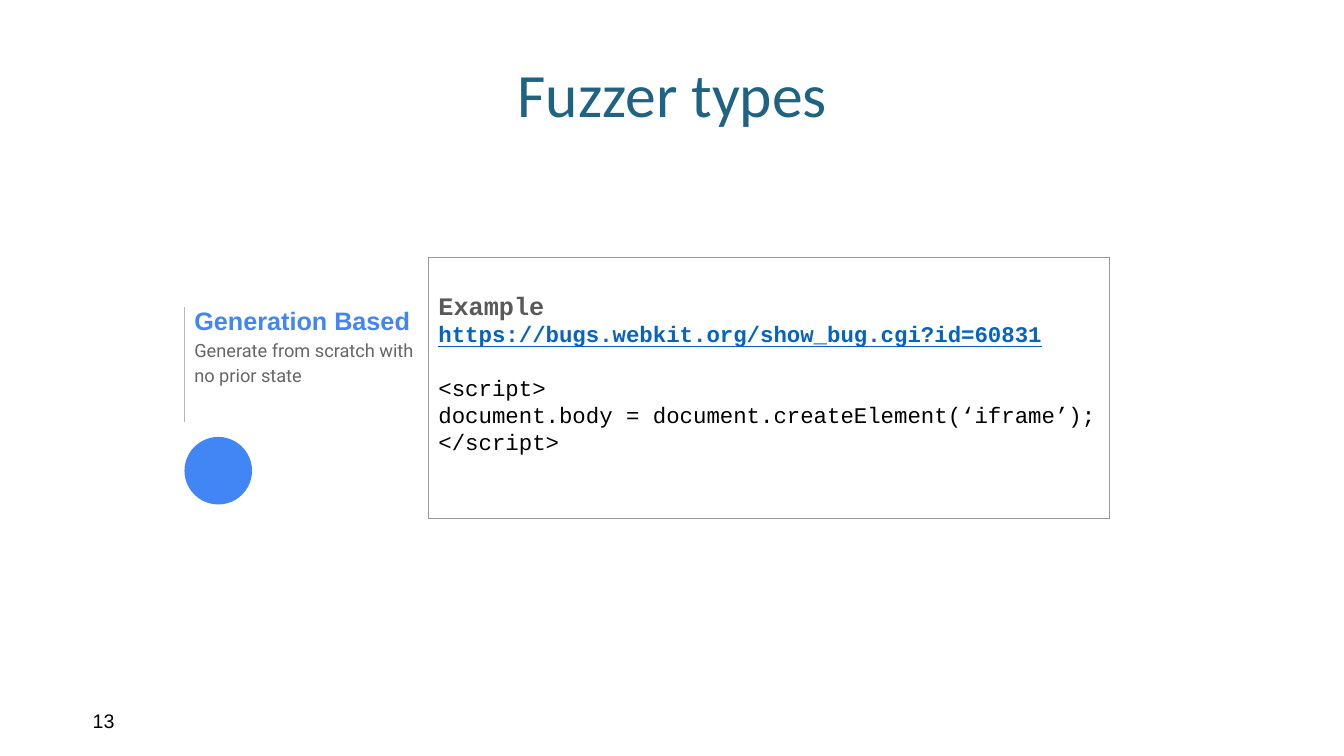
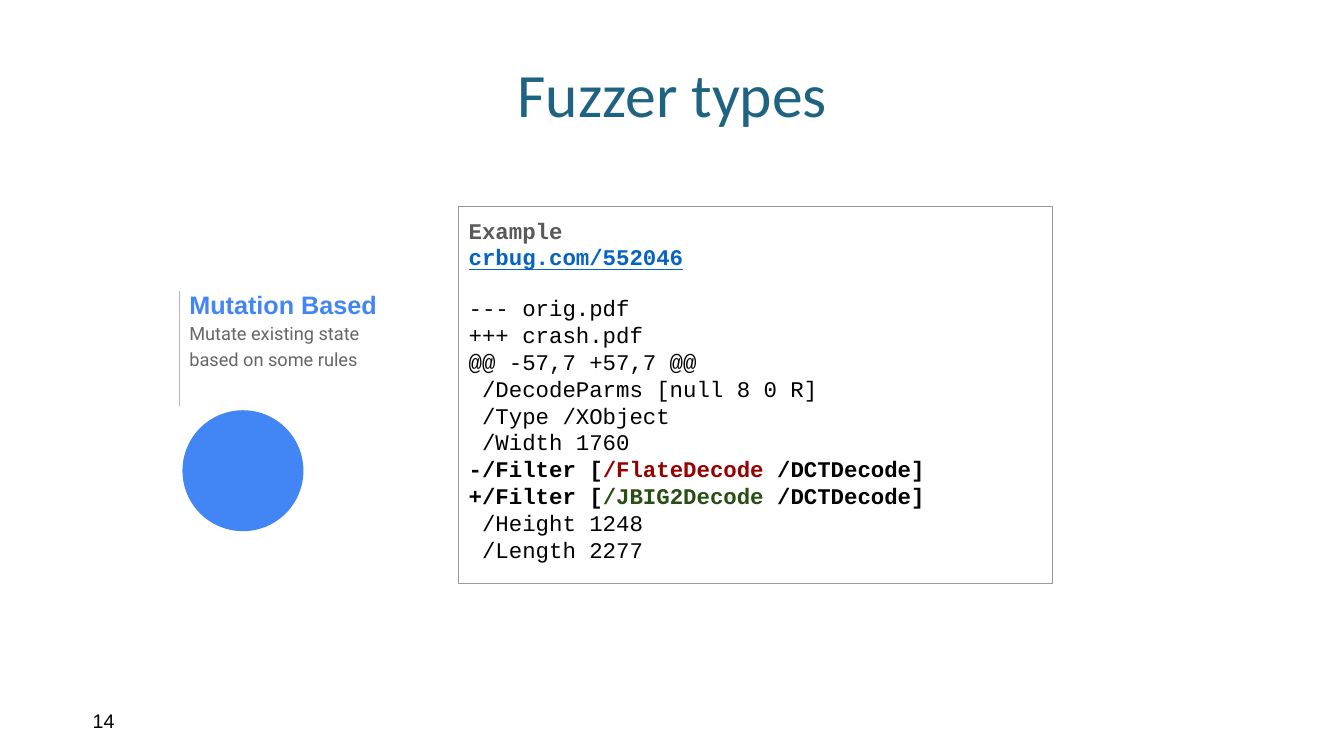
from lxml.etree import SubElement
from pptx import Presentation
from pptx.dml.color import RGBColor
from pptx.enum.shapes import MSO_CONNECTOR, MSO_SHAPE
from pptx.enum.text import MSO_ANCHOR, PP_ALIGN
from pptx.oxml.ns import qn
from pptx.util import Inches, Pt

TEAL = RGBColor(0x1F, 0x63, 0x83)
BLUE = RGBColor(0x42, 0x85, 0xF4)
LINK_BLUE = RGBColor(0x05, 0x63, 0xC1)
BLACK = RGBColor(0x00, 0x00, 0x00)
DARK_GRAY = RGBColor(0x59, 0x59, 0x59)
TEXT_GRAY = RGBColor(0x66, 0x66, 0x66)
BORDER_GRAY = RGBColor(0x99, 0x99, 0x99)
RULE_GRAY = RGBColor(0xB7, 0xB7, 0xB7)
REMOVED_RED = RGBColor(0x98, 0x00, 0x00)
ADDED_GREEN = RGBColor(0x27, 0x4E, 0x13)

TITLE_FONT = "Calibri"
BASE_FONT = "Arial"
BODY_FONT = "Roboto"
CODE_FONT = "Courier New"
CODE_SIZE = 16
CIRCLE_CENTER = 4.67


def add_run(paragraph, text, font, size, color, bold=False, underline=False):
    run = paragraph.add_run()
    run.text = text
    run.font.name = font
    run.font.size = Pt(size)
    run.font.color.rgb = color
    run.font.bold = bold
    run.font.underline = underline


def set_frame(frame, left=0.1, top=0.1, right=0.1, bottom=0.1, anchor=MSO_ANCHOR.TOP):
    """Turn wrapping on, set the insets in inches and the anchor."""
    frame.word_wrap = True
    frame.margin_left, frame.margin_top = Inches(left), Inches(top)
    frame.margin_right, frame.margin_bottom = Inches(right), Inches(bottom)
    frame.vertical_anchor = anchor


def add_text_frame(slide, box, **frame_options):
    frame = slide.shapes.add_textbox(*map(Inches, box)).text_frame
    set_frame(frame, **frame_options)
    return frame


def add_title(slide, text, box=(0.92, 0.64, 11.5, 1.21)):
    paragraph = add_text_frame(slide, box, top=0, bottom=0.05).paragraphs[0]
    paragraph.alignment = PP_ALIGN.CENTER
    paragraph.line_spacing = 0.9
    add_run(paragraph, text, TITLE_FONT, 44, TEAL)


def add_slide_number(slide, number, box=(0.92, 6.95, 3, 0.4)):
    frame = add_text_frame(slide, box, left=0, top=0.05, bottom=0.05,
                           anchor=MSO_ANCHOR.MIDDLE)
    add_run(frame.paragraphs[0], str(number), BASE_FONT, 14, BLACK)


def add_circle(slide, left, diameter):
    circle = slide.shapes.add_shape(
        MSO_SHAPE.OVAL, Inches(left), Inches(CIRCLE_CENTER - diameter / 2),
        Inches(diameter), Inches(diameter))
    circle.shadow.inherit = False
    circle.fill.solid()
    circle.fill.fore_color.rgb = BLUE
    circle.line.fill.background()


def add_type_label(slide, box, heading, description):
    """Place a heading and description beside a thin vertical rule."""
    left, top, _, height = box
    rule = slide.shapes.add_connector(
        MSO_CONNECTOR.STRAIGHT, Inches(left), Inches(top + 0.12),
        Inches(left), Inches(top + height))
    rule.line.color.rgb = RULE_GRAY
    rule.line.width = Pt(0.75)
    SubElement(rule._element.spPr, qn("a:effectLst"))

    frame = add_text_frame(slide, box)
    add_run(frame.paragraphs[0], heading, BASE_FONT, 18, BLUE, bold=True)
    paragraph = frame.add_paragraph()
    paragraph.line_spacing = 1.15
    add_run(paragraph, description, BODY_FONT, 13, TEXT_GRAY)


def add_code_panel(slide, box, link, code, top_inset, heading_size, code_gap):
    """Place a framed example; each code line is a list of (text, colour, bold)."""
    panel = slide.shapes.add_shape(MSO_SHAPE.RECTANGLE, *map(Inches, box))
    panel.shadow.inherit = False
    panel.fill.background()
    panel.line.color.rgb = BORDER_GRAY
    panel.line.width = Pt(0.75)

    frame = panel.text_frame
    set_frame(frame, top=top_inset)
    heading = frame.paragraphs[0]
    heading.alignment = PP_ALIGN.LEFT
    add_run(heading, "Example", CODE_FONT, heading_size, DARK_GRAY, bold=True)
    address = frame.add_paragraph()
    address.alignment = PP_ALIGN.LEFT
    add_run(address, link, CODE_FONT, CODE_SIZE, LINK_BLUE, bold=True, underline=True)

    for index, line in enumerate(code):
        paragraph = frame.add_paragraph()
        paragraph.alignment = PP_ALIGN.LEFT
        if index == 0:
            paragraph.space_before = Pt(code_gap)
        for text, color, bold in line:
            add_run(paragraph, text, CODE_FONT, CODE_SIZE, color, bold)


def plain_lines(*lines):
    return [[(line, BLACK, False)] for line in lines]


def filter_line(sign, name, color):
    return [(f"{sign}/Filter [", BLACK, True), (name, color, True),
            (" /DCTDecode]", BLACK, True)]


def add_fuzzer_slide(presentation, number, label, circle, panel):
    slide = presentation.slides.add_slide(presentation.slide_layouts[6])
    add_title(slide, "Fuzzer types")
    add_slide_number(slide, number)
    add_circle(slide, **circle)
    add_type_label(slide, **label)
    add_code_panel(slide, **panel)


def main():
    presentation = Presentation()
    presentation.slide_width = Inches(13.33)
    presentation.slide_height = Inches(7.5)

    add_fuzzer_slide(
        presentation, 13,
        label=dict(box=(1.83, 2.93, 2.56, 1.26), heading="Generation Based",
                   description="Generate from scratch with no prior state"),
        circle=dict(left=1.83, diameter=0.67),
        panel=dict(
            box=(4.25, 2.55, 6.75, 2.59),
            link="https://bugs.webkit.org/show_bug.cgi?id=60831",
            code=plain_lines("<script>",
                             "document.body = document.createElement(‘iframe’);",
                             "</script>"),
            top_inset=0.33, heading_size=18, code_gap=19))

    add_fuzzer_slide(
        presentation, 14,
        label=dict(box=(1.78, 2.77, 2.4, 1.26), heading="Mutation Based",
                   description="Mutate existing state based on some rules"),
        circle=dict(left=1.81, diameter=1.2),
        panel=dict(
            box=(4.55, 2.05, 5.89, 3.74),
            link="crbug.com/552046",
            code=[*plain_lines("--- orig.pdf", "+++ crash.pdf", "@@ -57,7 +57,7 @@",
                               " /DecodeParms [null 8 0 R]", " /Type /XObject",
                               " /Width 1760"),
                  filter_line("-", "/FlateDecode", REMOVED_RED),
                  filter_line("+", "/JBIG2Decode", ADDED_GREEN),
                  *plain_lines(" /Height 1248", " /Length 2277")],
            top_inset=0.1, heading_size=16, code_gap=17))

    presentation.save("out.pptx")


if __name__ == "__main__":
    main()
